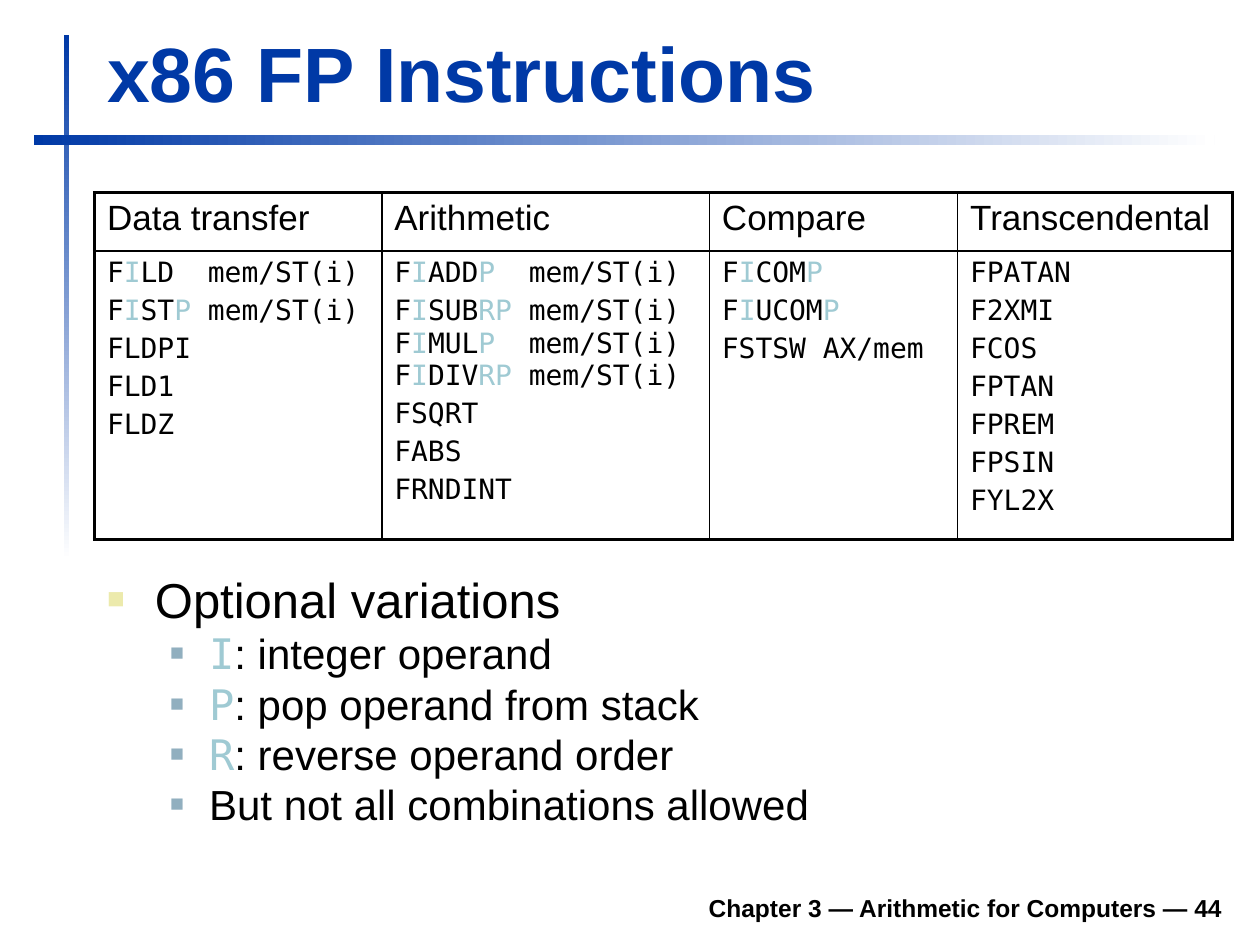
import dataclasses
import pptx
import pptx.dml.color
import pptx.enum.dml
import pptx.enum.shapes
import pptx.enum.text
import pptx.oxml
import pptx.oxml.ns
import pptx.util

Inches = pptx.util.Inches
Pt = pptx.util.Pt
ALIGN = pptx.enum.text.PP_ALIGN
ANCHOR = pptx.enum.text.MSO_ANCHOR
FIT = pptx.enum.text.MSO_AUTO_SIZE

COLORS = {
    "blue": "0039A6",
    "white": "FFFFFF",
    "black": "000000",
    "key": "9FCAD3",
    "sand": "ECEAAC",
    "slate": "91AFBF",
}
SANS = "Arial"
MONO = "DejaVu Sans Mono"
OUTER, HEAD, INNER = 2.25, 1.5, 1


@dataclasses.dataclass
class Bar:
    left: float
    top: float
    width: float
    height: float
    angle: int


@dataclasses.dataclass
class Style:
    size: float
    face: str = SANS
    color: str = "black"
    bold: bool = False
    before: float = 0
    align: ALIGN = ALIGN.LEFT


@dataclasses.dataclass
class Bullet:
    level: int
    left: float
    hang: float
    color: str
    scale: int
    style: Style


@dataclasses.dataclass
class Column:
    width: float
    head: str
    lines: list[str]


BARS = [Bar(0.51, 0.28, 0.04, 4.17, 270), Bar(0.27, 1.07, 9.37, 0.08, 0)]
TITLE = Style(44, color="blue", bold=True)
FOOTER = Style(14, bold=True, align=ALIGN.RIGHT)
HEADER = Style(20, before=4)
CODE = Style(16, MONO, before=3.2)
TOPIC = Bullet(0, 0.38, 0.38, "sand", 60, Style(28, before=5.6))
POINT = Bullet(1, 0.81, 0.31, "slate", 55, Style(24, before=5.6))

# Text between square brackets is set in the key colour.
COLUMNS = [
    Column(2.28, "Data transfer", [
        "F[I]LD  mem/ST(i)", "F[I]ST[P] mem/ST(i)", "FLDPI", "FLD1", "FLDZ"]),
    Column(2.6, "Arithmetic", [
        "F[I]ADD[P]  mem/ST(i)",
        "F[I]SUB[RP] mem/ST(i)\vF[I]MUL[P]  mem/ST(i)\vF[I]DIV[RP] mem/ST(i)",
        "FSQRT", "FABS", "FRNDINT"]),
    Column(1.97, "Compare", ["F[I]COM[P]", "F[I]UCOM[P]", "FSTSW AX/mem"]),
    Column(2.18, "Transcendental", [
        "FPATAN", "F2XMI", "FCOS", "FPTAN", "FPREM", "FPSIN", "FYL2X"]),
]
NOTES = [
    (TOPIC, "Optional variations"),
    (POINT, "[I]: integer operand"),
    (POINT, "[P]: pop operand from stack"),
    (POINT, "[R]: reverse operand order"),
    (POINT, "But not all combinations allowed"),
]


def shade(name: str) -> pptx.dml.color.RGBColor:
    return pptx.dml.color.RGBColor.from_string(COLORS[name])


def parse(xml: str):
    return pptx.oxml.parse_xml(xml.replace(" ", f" {pptx.oxml.ns.nsdecls('a')} ", 1))


def write(para, text: str, style: Style) -> None:
    para.alignment = style.align
    para.space_before = Pt(style.before)
    font = para.font
    font.size, font.name, font.bold = Pt(style.size), style.face, style.bold
    font.color.rgb = shade(style.color)
    for row, line in enumerate(text.split("\v")):
        if row:
            para.add_line_break()
        for place, part in enumerate(line.replace("]", "[").split("[")):
            if part:
                run = para.add_run()
                run.text = part
                if place % 2:
                    run.font.name = MONO
                    run.font.color.rgb = shade("key")


def fill_frame(frame, lines: list[str], style: Style) -> None:
    for row, line in enumerate(lines):
        write(frame.add_paragraph() if row else frame.paragraphs[0], line, style)


def put(shape, left: float, top: float, width: float, height: float) -> None:
    shape.left, shape.top = Inches(left), Inches(top)
    shape.width, shape.height = Inches(width), Inches(height)


def draw_bar(slide, bar: Bar) -> None:
    shape = slide.shapes.add_shape(
        pptx.enum.shapes.MSO_SHAPE.RECTANGLE, Inches(bar.left), Inches(bar.top),
        Inches(bar.width), Inches(bar.height))
    shape.shadow.inherit = False
    shape.line.fill.background()
    shape.fill.gradient()
    shape.fill.gradient_angle = bar.angle
    for stop, name in zip(shape.fill.gradient_stops, ("blue", "white")):
        stop.color.rgb = shade(name)


def add_point(para, bullet: Bullet, text: str) -> None:
    para.level = bullet.level
    props = para._p.get_or_add_pPr()
    props.set("marL", str(Inches(bullet.left)))
    props.set("indent", str(-Inches(bullet.hang)))
    props.append(parse(f'<a:buClr ><a:srgbClr val="{COLORS[bullet.color]}"/></a:buClr>'))
    props.append(parse(f'<a:buSzPct val="{bullet.scale * 1000}"/>'))
    props.append(parse('<a:buChar char="■"/>'))
    para.line_spacing = 0.8
    write(para, text, bullet.style)


def edge_cell(cell, edges: dict[str, float]) -> None:
    props = cell._tc.get_or_add_tcPr()
    for side, width in edges.items():
        props.append(parse(
            f'<a:ln{side} w="{Pt(width)}"><a:solidFill>'
            f'<a:srgbClr val="{COLORS["black"]}"/></a:solidFill></a:ln{side}>'))
    cell.fill.background()


def draw_table(slide, cols: list[Column]) -> None:
    table = slide.shapes.add_table(
        2, len(cols), Inches(0.75), Inches(1.53), Inches(9.03), Inches(2.75)).table
    table.first_row = table.horz_banding = False
    table.rows[0].height, table.rows[1].height = Inches(0.46), Inches(2.29)
    for place, col in enumerate(cols):
        table.columns[place].width = Inches(col.width)
        sides = {"L": INNER if place else OUTER,
                 "R": INNER if place < len(cols) - 1 else OUTER}
        top, base = table.cell(0, place), table.cell(1, place)
        fill_frame(top.text_frame, [col.head], HEADER)
        fill_frame(base.text_frame, col.lines, CODE)
        edge_cell(top, sides | {"T": OUTER, "B": HEAD})
        edge_cell(base, sides | {"T": HEAD, "B": OUTER})


def main() -> None:
    deck = pptx.Presentation()
    deck.slide_width, deck.slide_height = Inches(10), Inches(7.5)
    slide = deck.slides.add_slide(deck.slide_layouts[1])
    for bar in BARS:
        draw_bar(slide, bar)

    foot = slide.shapes.add_textbox(Inches(1.85), Inches(6.98), Inches(7.95), Inches(0.39))
    foot.text_frame.word_wrap = True
    foot.text_frame.vertical_anchor = ANCHOR.BOTTOM
    fill_frame(foot.text_frame, ["Chapter 3 — Arithmetic for Computers — 44"], FOOTER)

    title = slide.shapes.title
    put(title, 0.75, 0.16, 9.03, 0.83)
    title.text_frame.vertical_anchor = ANCHOR.BOTTOM
    title.text_frame.auto_size = FIT.SHAPE_TO_FIT_TEXT
    fill_frame(title.text_frame, ["x86 FP Instructions"], TITLE)

    body = slide.placeholders[1]
    put(body, 0.75, 4.56, 9.05, 2.26)
    frame = body.text_frame
    frame.auto_size = FIT.NONE
    for row, (bullet, text) in enumerate(NOTES):
        add_point(frame.add_paragraph() if row else frame.paragraphs[0], bullet, text)

    draw_table(slide, COLUMNS)
    deck.save("out.pptx")


if __name__ == "__main__":
    main()
